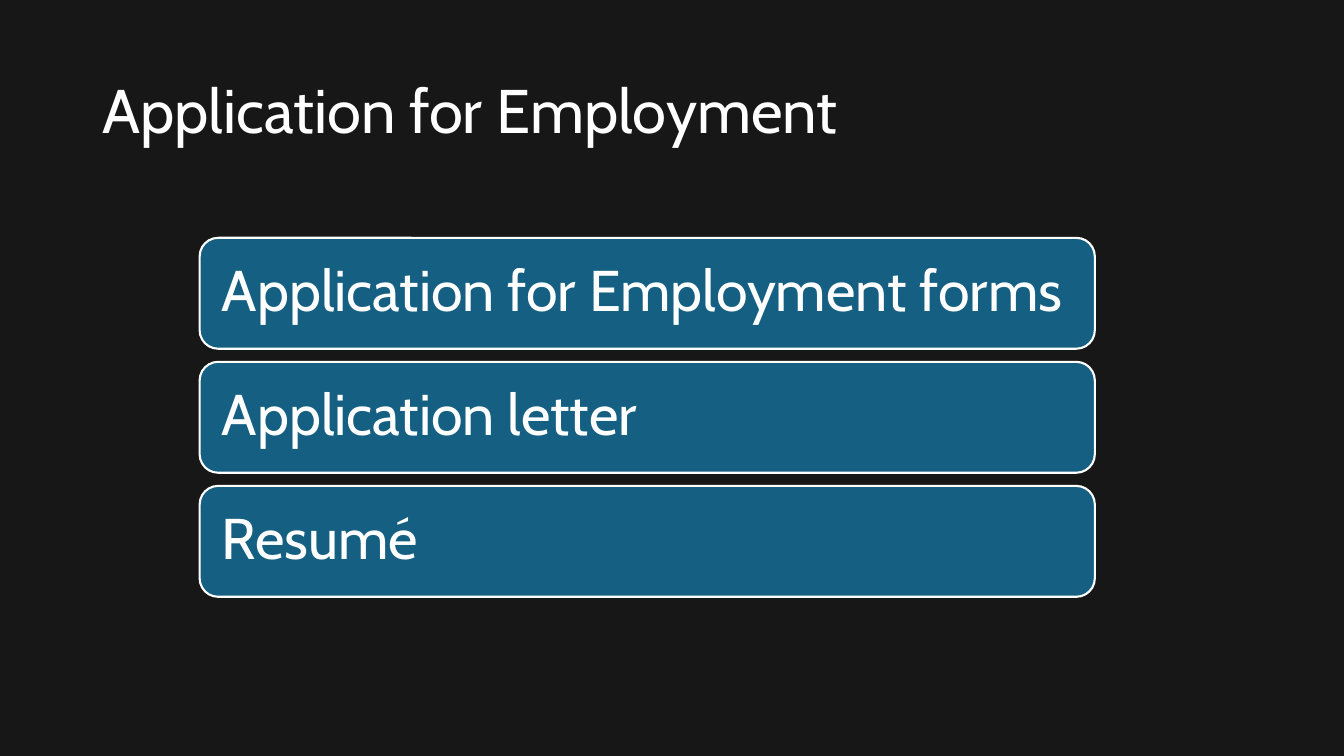
from pptx import Presentation
from pptx.dml.color import RGBColor
from pptx.enum.shapes import MSO_SHAPE
from pptx.enum.text import MSO_ANCHOR, PP_ALIGN
from pptx.util import Pt

ROUNDED = MSO_SHAPE.ROUNDED_RECTANGLE
MIDDLE = MSO_ANCHOR.MIDDLE
LEFT = PP_ALIGN.LEFT

BACKGROUND = RGBColor(0x17, 0x17, 0x17)
BLUE = RGBColor(0x15, 0x60, 0x82)
WHITE = RGBColor(0xFF, 0xFF, 0xFF)

DOCUMENTS = ["Application for Employment forms", "Application letter", "Resumé"]
BAR_LEFT, BAR_TOP, BAR_WIDTH, BAR_HEIGHT = 142.6, 169.9, 639.4, 79.2
BAR_PITCH = 88.6


def write_text(shape, text, size, margin):
    """Fill the shape with one left-aligned, vertically centred line."""
    frame = shape.text_frame
    frame_format = {
        "word_wrap": True,
        "vertical_anchor": MIDDLE,
        "margin_left": Pt(margin),
        "margin_right": Pt(margin),
    }
    for name, value in frame_format.items():
        setattr(frame, name, value)
    paragraph = frame.paragraphs[0]
    paragraph.text = text
    paragraph.alignment = LEFT
    paragraph.line_spacing = 0.9
    for name, value in {"name": "Cabin", "size": Pt(size)}.items():
        setattr(paragraph.font, name, value)
    paragraph.font.color.rgb = WHITE


presentation = Presentation()
presentation.slide_width = Pt(960)
presentation.slide_height = Pt(540)
slide = presentation.slides.add_slide(presentation.slide_layouts[6])
slide.background.fill.solid()
slide.background.fill.fore_color.rgb = BACKGROUND

title = slide.shapes.add_textbox(Pt(66), Pt(28.8), Pt(828), Pt(104.4))
write_text(title, "Application for Employment", 44, 7.2)

for index, document in enumerate(DOCUMENTS):
    bar = slide.shapes.add_shape(
        ROUNDED, Pt(BAR_LEFT), Pt(BAR_TOP + index * BAR_PITCH), Pt(BAR_WIDTH), Pt(BAR_HEIGHT)
    )
    bar.shadow.inherit = False
    bar.fill.solid()
    bar.fill.fore_color.rgb = BLUE
    bar.line.color.rgb = WHITE
    bar.line.width = Pt(1.5)
    write_text(bar, document, 41, 12)

presentation.save("out.pptx")
